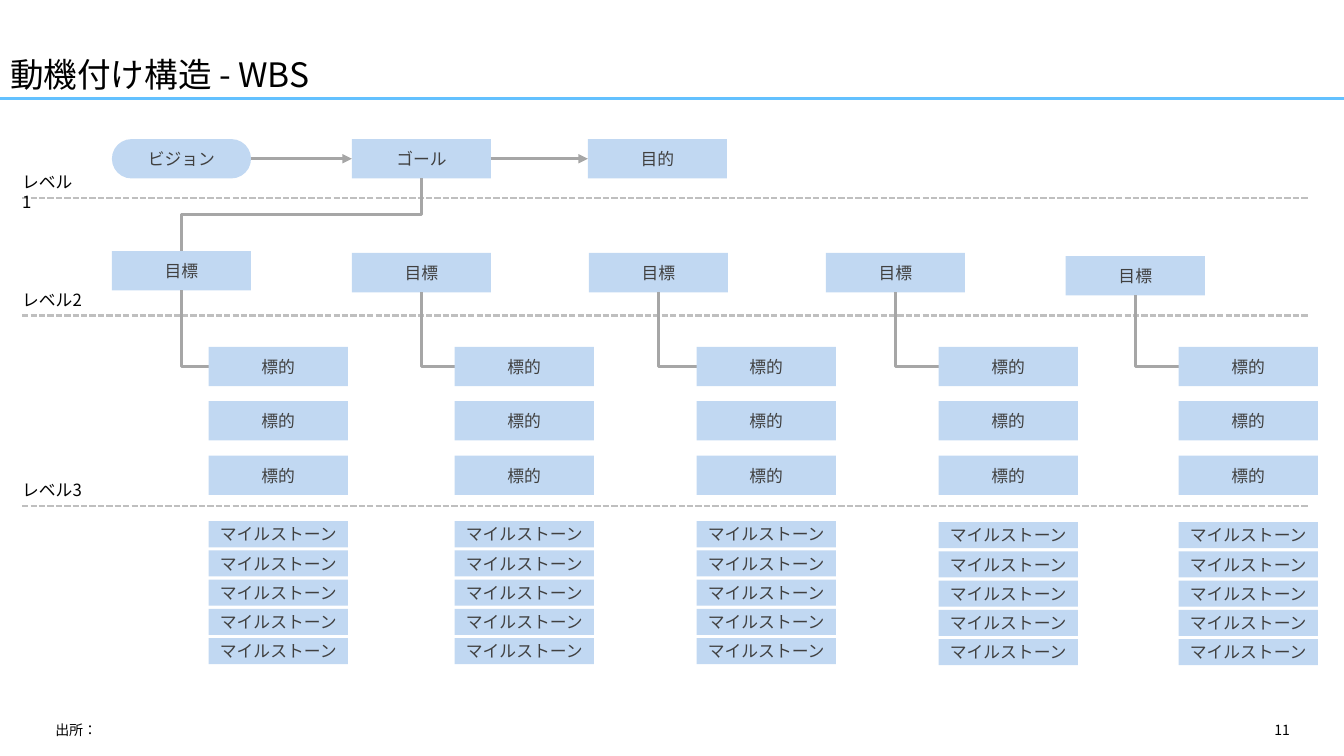
from lxml.etree import SubElement
from pptx import Presentation
from pptx.dml.color import RGBColor
from pptx.enum.dml import MSO_LINE
from pptx.enum.lang import MSO_LANGUAGE_ID
from pptx.enum.shapes import MSO_CONNECTOR, MSO_SHAPE
from pptx.enum.text import MSO_ANCHOR, MSO_AUTO_SIZE, PP_ALIGN
from pptx.oxml.ns import qn
from pptx.util import Inches, Pt

FONT = "Noto Sans CJK JP"
BLACK = RGBColor(0, 0, 0)
TEXT = RGBColor(0x40, 0x40, 0x40)
BOX = RGBColor(0xC1, 0xD8, 0xF2)
SKY = RGBColor(0x63, 0xC1, 0xFF)
DASH = RGBColor(0xBF, 0xBF, 0xBF)
LINK = RGBColor(0xA6, 0xA6, 0xA6)
BOX_W, BOX_H, MILESTONE_H = 1.38, 0.39, 0.26
TARGET_GAP, MILESTONE_GAP = 0.54, 0.29
TARGET_TOP = 3.44
COLUMNS = [
    (1.11, 2.49, 2.07, 5.17),
    (3.49, 2.51, 4.51, 5.17),
    (5.84, 2.51, 6.91, 5.17),
    (8.19, 2.51, 9.31, 5.18),
    (10.57, 2.54, 11.69, 5.18),
]
LEVELS = [("レベル1", 1.7, 0.58), ("レベル2", 2.87, 0.61), ("レベル3", 4.76, 0.6)]


def write(tf, text, size, color, align=PP_ALIGN.LEFT):
    p = tf.paragraphs[0]
    p.alignment = align
    r = p.add_run()
    r.text = text
    r.font.size = Pt(size)
    r.font.name = FONT
    r.font.color.rgb = color
    r.font.language_id = MSO_LANGUAGE_ID.JAPANESE
    SubElement(r.font._element, qn("a:ea")).set("typeface", FONT)
    return p


def no_insets(tf):
    tf.margin_left = tf.margin_right = tf.margin_top = tf.margin_bottom = 0


def add_box(s, text, x, y, h=BOX_H, kind=MSO_SHAPE.RECTANGLE):
    sp = s.shapes.add_shape(kind, Inches(x), Inches(y), Inches(BOX_W), Inches(h))
    sp.shadow.inherit = False
    sp.fill.solid()
    sp.fill.fore_color.rgb = BOX
    sp.line.fill.background()
    tf = sp.text_frame
    tf.word_wrap = True
    tf.vertical_anchor = MSO_ANCHOR.MIDDLE
    no_insets(tf)
    write(tf, text, 12, TEXT, PP_ALIGN.CENTER)
    return sp


def add_line(s, x1, y1, x2, y2, color, width, kind=MSO_CONNECTOR.STRAIGHT):
    c = s.shapes.add_connector(kind, Inches(x1), Inches(y1), Inches(x2), Inches(y2))
    c.line.color.rgb = color
    c.line.width = Pt(width)
    SubElement(c._element.spPr, qn("a:effectLst"))
    return c


def add_arrow(s, start, end):
    c = add_line(s, 0, 0, 1, 0, LINK, 2.25)
    c.begin_connect(start, 3)
    c.end_connect(end, 1)
    SubElement(c.line._get_or_add_ln(), qn("a:tailEnd")).set("type", "triangle")


def add_elbow(s, x1, y1, x2, y2):
    w, h = y2 - y1, abs(x2 - x1)
    left, top = (x1 + x2 - w) / 2, (y1 + y2 - h) / 2
    ends = (left + w, left) if x2 > x1 else (left, left + w)
    c = add_line(s, ends[0], top, ends[1], top + h, LINK, 2.25, MSO_CONNECTOR.ELBOW)
    xfrm = c._element.spPr.find(qn("a:xfrm"))
    if x2 > x1:
        xfrm.set("rot", str(270 * 60000))
        c._element.spPr.find(qn("a:prstGeom")).set("prst", "bentConnector2")
    else:
        xfrm.set("rot", str(90 * 60000))


def add_label(s, text, x, y, w, h, size=10, align=PP_ALIGN.LEFT):
    sp = s.shapes.add_textbox(Inches(x), Inches(y), Inches(w), Inches(h))
    sp.text_frame.word_wrap = True
    write(sp.text_frame, text, size, BLACK, align)
    return sp


def add_header(s, text, x, y, w, h):
    add_line(s, x, y + h - 0.01, x + w, y + h - 0.01, SKY, 2.25)
    sp = s.shapes.title
    sp.left, sp.top, sp.width, sp.height = (Inches(v) for v in (x, y, w, h))
    tf = sp.text_frame
    tf.vertical_anchor = MSO_ANCHOR.BOTTOM
    tf.auto_size = MSO_AUTO_SIZE.NONE
    write(tf, text, 24, BLACK).line_spacing = 0.9


def add_level(s, text, x, y, w, label_w):
    c = add_line(s, x, y + 0.26, x + w, y + 0.26, DASH, 1.5)
    c.line.dash_style = MSO_LINE.SQUARE_DOT
    tf = add_label(s, text, x, y, label_w, 0.2, 12).text_frame
    no_insets(tf)
    tf.word_wrap = False
    tf.auto_size = MSO_AUTO_SIZE.SHAPE_TO_FIT_TEXT


def add_top_row(s, y):
    vision = add_box(s, "ビジョン", 1.11, y, kind=MSO_SHAPE.ROUNDED_RECTANGLE)
    vision.adjustments[0] = 0.5
    goal = add_box(s, "ゴール", 3.49, y)
    purpose = add_box(s, "目的", 5.83, y)
    add_arrow(s, vision, goal)
    add_arrow(s, goal, purpose)
    add_elbow(s, 3.49 + BOX_W / 2, y + BOX_H, COLUMNS[0][0] + BOX_W / 2, COLUMNS[0][1])


def add_column(s, x, y, detail_x, milestone_y):
    add_box(s, "目標", x, y)
    add_elbow(s, x + BOX_W / 2, y + BOX_H, detail_x, TARGET_TOP + BOX_H / 2)
    for i in range(3):
        add_box(s, "標的", detail_x, TARGET_TOP + i * TARGET_GAP)
    for i in range(5):
        add_box(s, "マイルストーン", detail_x, milestone_y + i * MILESTONE_GAP, MILESTONE_H)


def add_footer(s, x, y, w, h):
    add_label(s, "出所：", x, y, 8.47, h)
    add_label(s, "11", x + w - 3.47, y, 3.47, h, align=PP_ALIGN.RIGHT)


def main():
    prs = Presentation()
    prs.slide_width, prs.slide_height = Inches(13.33), Inches(7.5)
    s = prs.slides.add_slide(prs.slide_layouts[5])
    add_header(s, "動機付け構造 - WBS", 0, 0, 13.33, 0.99)
    for text, y, label_w in LEVELS:
        add_level(s, text, 0.22, y, 12.76, label_w)
    add_top_row(s, 1.38)
    for column in COLUMNS:
        add_column(s, *column)
    add_footer(s, 0.45, 7.11, 12.44, 0.24)
    prs.save("out.pptx")


if __name__ == "__main__":
    main()
